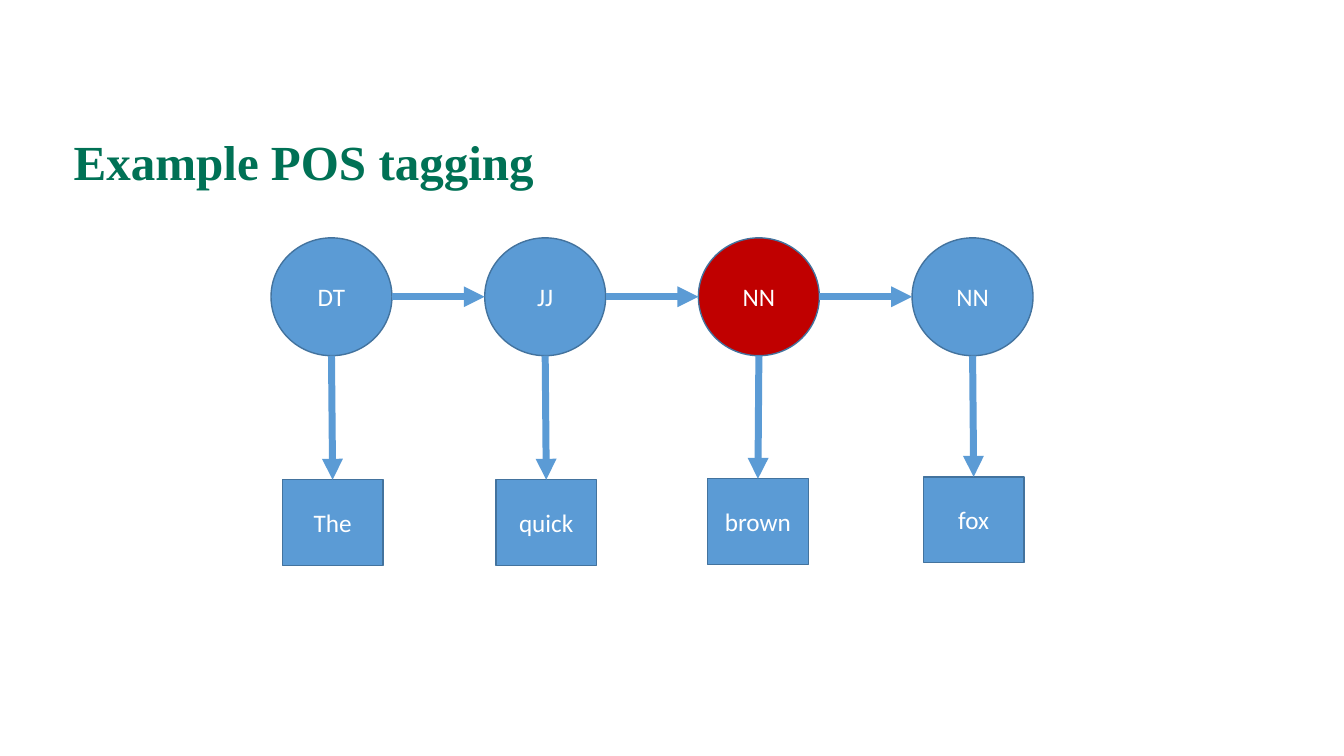
"""Build a slide that shows part-of-speech tags as a chain of states above their words."""
from dataclasses import dataclass
from itertools import pairwise

from lxml import etree
from pptx import Presentation
from pptx.dml.color import RGBColor
from pptx.enum.shapes import MSO_CONNECTOR, MSO_SHAPE
from pptx.enum.text import MSO_ANCHOR, MSO_AUTO_SIZE, PP_ALIGN
from pptx.oxml.ns import qn
from pptx.shapes.autoshape import Shape
from pptx.shapes.connector import Connector
from pptx.slide import Slide
from pptx.util import Pt

OVAL, RECTANGLE = MSO_SHAPE.OVAL, MSO_SHAPE.RECTANGLE
STRAIGHT = MSO_CONNECTOR.STRAIGHT
MIDDLE = MSO_ANCHOR.MIDDLE
LEFT, CENTER = PP_ALIGN.LEFT, PP_ALIGN.CENTER
NO_FIT = MSO_AUTO_SIZE.NONE
TITLE_ONLY = 5
TOP_SITE = 0

BLUE, RED, OUTLINE = "5B9BD5", "C00000", "43739E"
GREEN, WHITE = "007155", "FFFFFF"

TAG_LEFT, TAG_TOP, TAG_STEP = 193.6, 169.9, 152.64
TAG_WIDTH, TAG_HEIGHT = 86.4, 84.2
WORD_WIDTH, WORD_HEIGHT = 72, 61.2


@dataclass(frozen=True)
class Token:
    tag: str
    word: str
    word_left: float
    word_top: float
    tag_fill: str = BLUE


TOKENS = [
    Token("DT", "The", 201.6, 342.7),
    Token("JJ", "quick", 354.2, 342.7),
    Token("NN", "brown", 505.4, 342, RED),
    Token("NN", "fox", 659.5, 340.6),
]


def color(value: str) -> RGBColor:
    return RGBColor.from_string(value)


def add_title(page: Slide, text: str) -> None:
    title = page.shapes.title
    title.left, title.top = Pt(45.4), Pt(65.5)
    title.width, title.height = Pt(828), Pt(104.4)
    frame = title.text_frame
    frame.text = text
    frame.word_wrap = True
    frame.auto_size = NO_FIT
    frame.vertical_anchor = MIDDLE
    para = frame.paragraphs[0]
    para.alignment = LEFT
    para.line_spacing = 0.9
    font = para.runs[0].font
    font.name, font.size, font.bold = "Times New Roman", Pt(35), True
    font.color.rgb = color(GREEN)


def add_node(page: Slide, kind: MSO_SHAPE, text: str, left: float, top: float,
             width: float, height: float, fill: str) -> Shape:
    node = page.shapes.add_shape(kind, Pt(left), Pt(top), Pt(width), Pt(height))
    node.shadow.inherit = False
    node.fill.solid()
    node.fill.fore_color.rgb = color(fill)
    node.line.color.rgb = color(OUTLINE)
    node.line.width = Pt(1)
    frame = node.text_frame
    frame.text = text
    frame.word_wrap = True
    frame.vertical_anchor = MIDDLE
    para = frame.paragraphs[0]
    para.alignment = CENTER
    font = para.runs[0].font
    font.name, font.size = "Calibri", Pt(18)
    font.color.rgb = color(WHITE)
    return node


def add_arrow(page: Slide, start: tuple[int, int], end: tuple[int, int]) -> Connector:
    arrow = page.shapes.add_connector(STRAIGHT, *start, *end)
    arrow.line.color.rgb = color(BLUE)
    arrow.line.width = Pt(5)
    outline = arrow.line._get_or_add_ln()
    etree.SubElement(outline, qn("a:tailEnd"), type="triangle")
    etree.SubElement(arrow._element.spPr, qn("a:effectLst"))
    return arrow


def main() -> None:
    deck = Presentation()
    deck.slide_width, deck.slide_height = Pt(960), Pt(540)
    page = deck.slides.add_slide(deck.slide_layouts[TITLE_ONLY])
    add_title(page, "Example POS tagging")

    circles = []
    for index, token in enumerate(TOKENS):
        circle = add_node(page, OVAL, token.tag, TAG_LEFT + index * TAG_STEP, TAG_TOP,
                          TAG_WIDTH, TAG_HEIGHT, token.tag_fill)
        box = add_node(page, RECTANGLE, token.word, token.word_left, token.word_top,
                       WORD_WIDTH, WORD_HEIGHT, BLUE)
        start = (circle.left + circle.width // 2, circle.top + circle.height)
        arrow = add_arrow(page, start, (box.left + box.width // 2, box.top))
        arrow.end_connect(box, TOP_SITE)
        circles.append(circle)

    for source, target in pairwise(circles):
        middle = source.top + source.height // 2
        add_arrow(page, (source.left + source.width, middle), (target.left, middle))

    deck.save("out.pptx")


if __name__ == "__main__":
    main()
